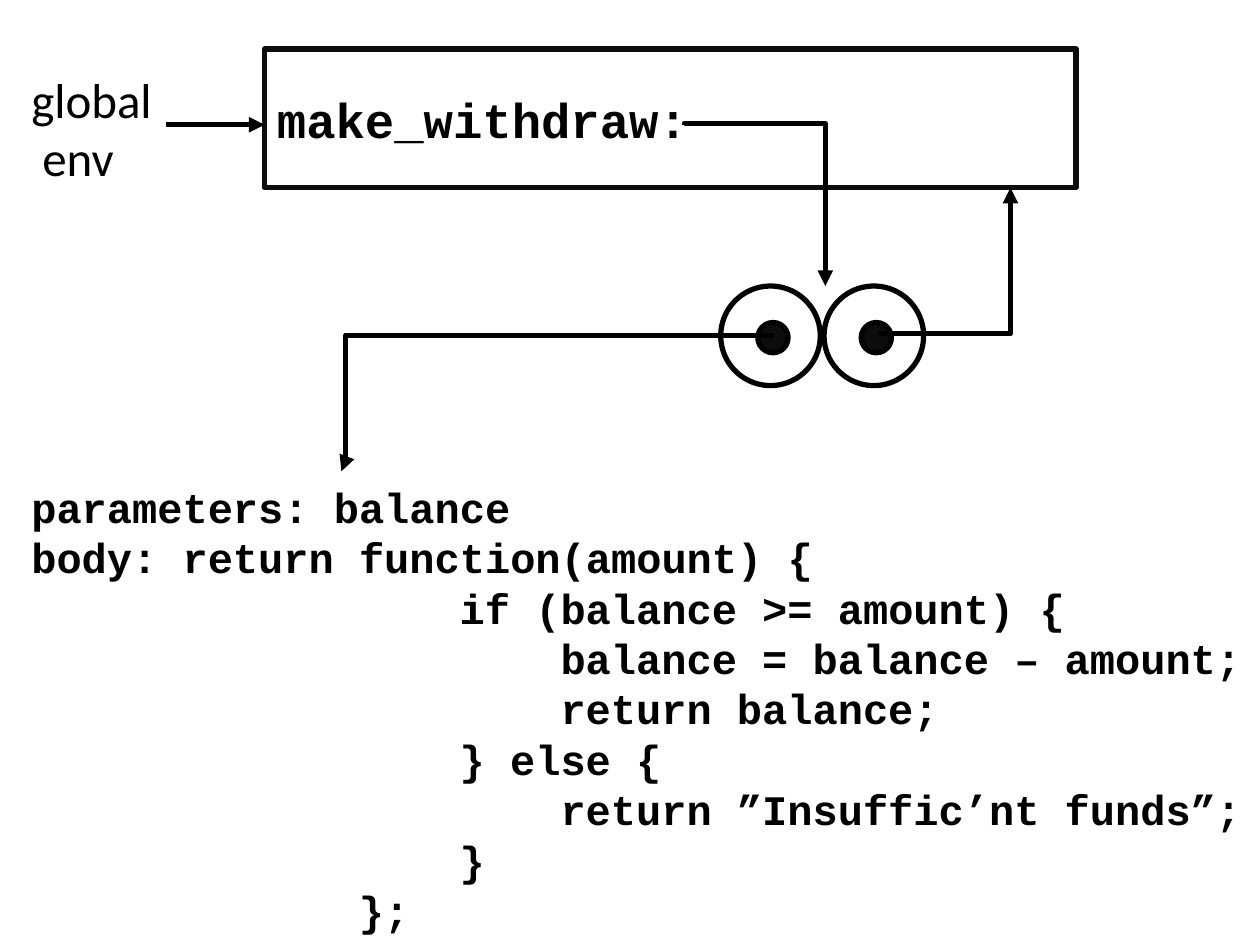
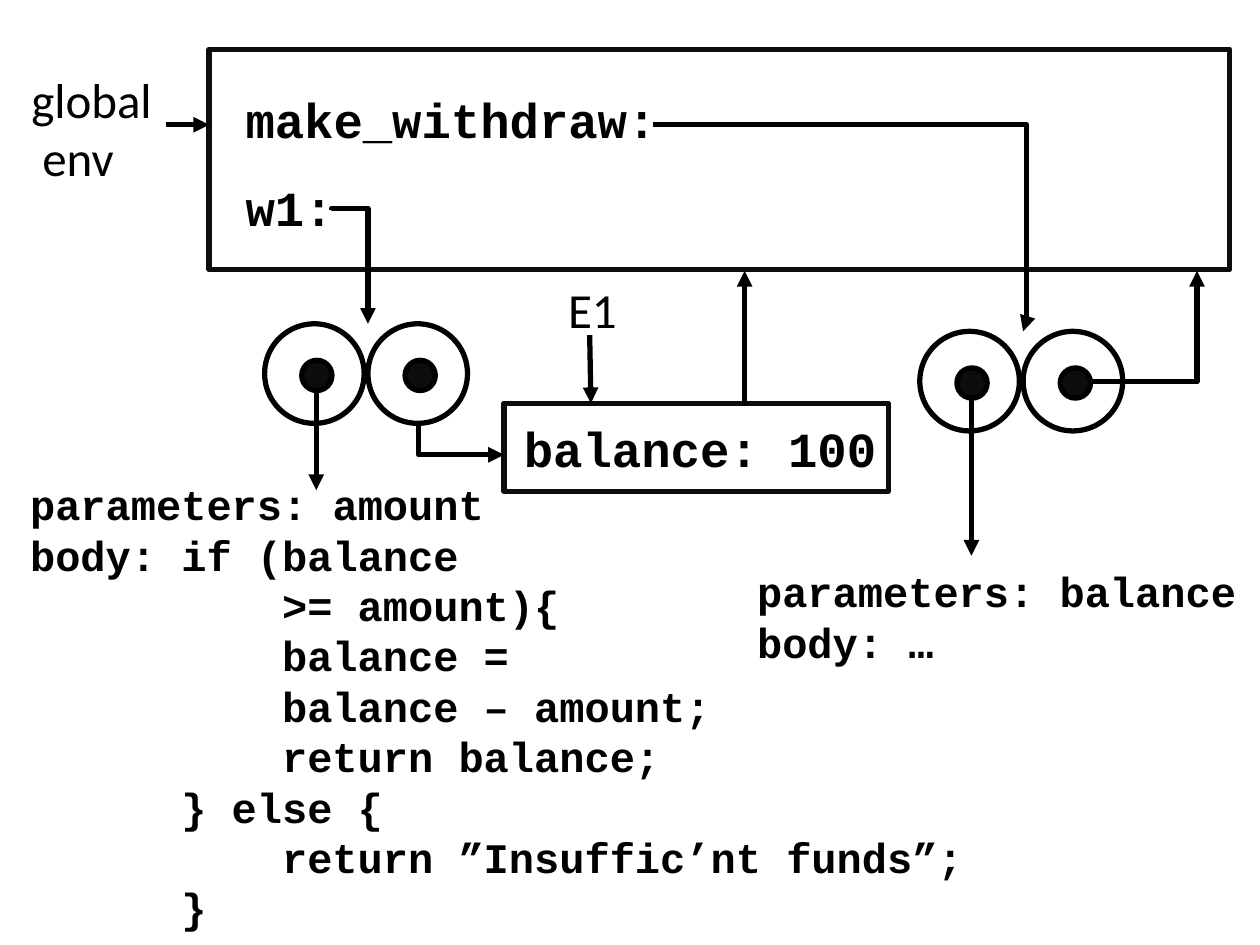
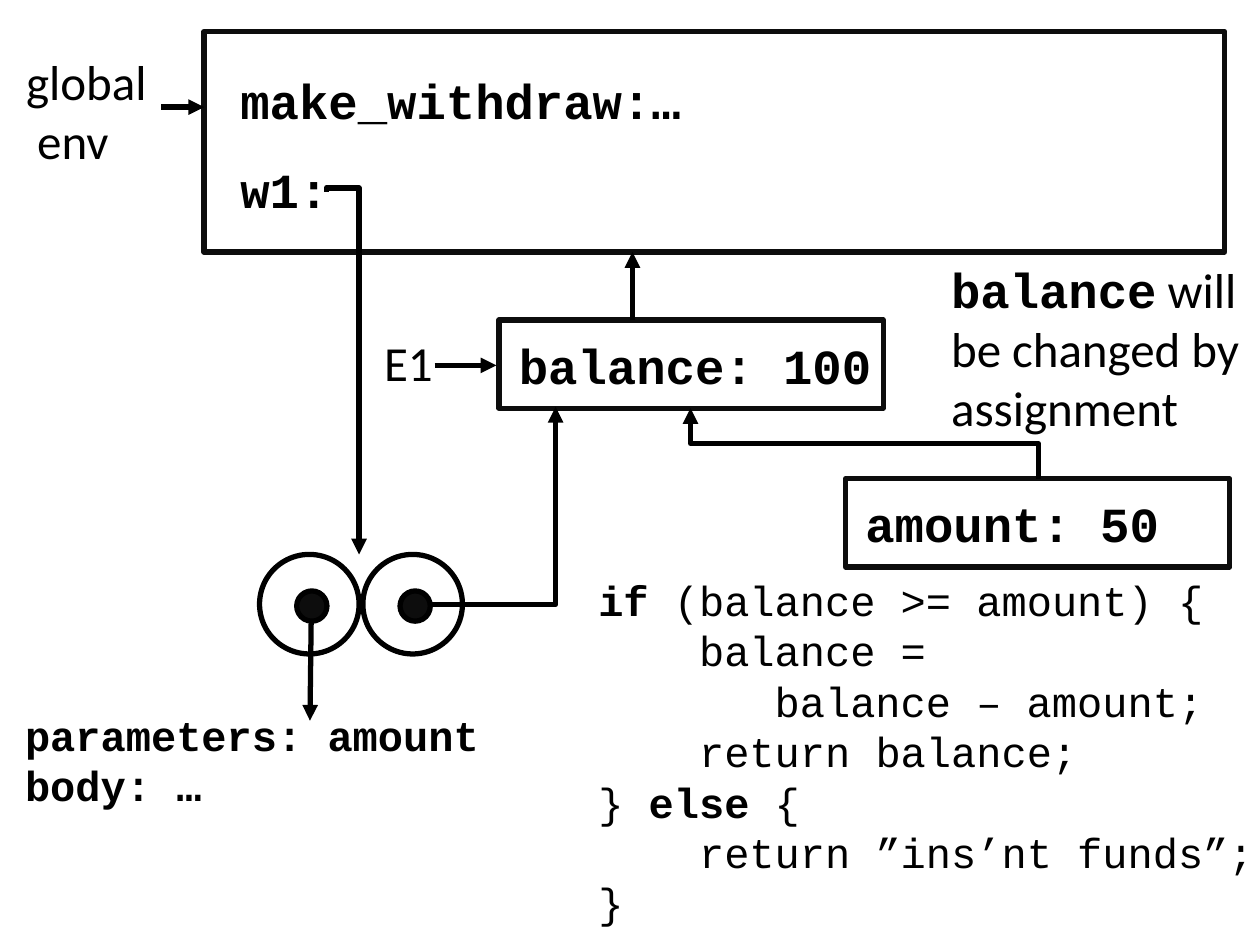
import pptx
import pptx.dml.color
import pptx.enum.shapes
import pptx.enum.text
import pptx.oxml
import pptx.oxml.ns
import pptx.util

COLUMNS, ROWS = 100, 75
SHAPES = pptx.enum.shapes.MSO_SHAPE
CONNECTORS = pptx.enum.shapes.MSO_CONNECTOR
INK, OUTLINE = "000000", "0D0D0D"
LABEL = ("Calibri", False)
CODE = ("Courier New", False)
CODE_BOLD = ("Courier New", True)


def color(value):
    """Turn a hex string into a colour."""
    return pptx.dml.color.RGBColor.from_string(value)


def make_element(parent, tag, **attributes):
    """Append a drawing element with attributes to its parent."""
    element = pptx.oxml.parse_xml(f"<{tag} {pptx.oxml.ns.nsdecls('a')}/>")
    for name, value in attributes.items():
        element.set(name, str(value))
    parent.append(element)
    return element


class EnvironmentDiagram:
    """Draws frames, procedures and code on a grid of columns and rows."""

    stroke = pptx.util.Pt(3)
    frame_size, code_size = 28, 24
    leading = 1.2
    top_inset, binding_inset = 0.8, 2.8

    def __init__(self):
        """Open an empty deck."""
        self.deck = pptx.Presentation()
        self.deck.slide_width = pptx.util.Inches(10)
        self.deck.slide_height = pptx.util.Inches(7.5)
        self.page = None

    def new_page(self):
        """Start a blank page."""
        self.page = self.deck.slides.add_slide(self.deck.slide_layouts[6])

    def across(self, columns):
        """Length of a number of columns."""
        return round(self.deck.slide_width * columns / COLUMNS)

    def down(self, rows):
        """Length of a number of rows."""
        return round(self.deck.slide_height * rows / ROWS)

    def place(self, left, top, width, height):
        """Grid rectangle as slide lengths."""
        return (self.across(left), self.down(top),
                self.across(width), self.down(height))

    def shape(self, kind, at, line=INK, fill=None):
        """Outlined shape, filled on request."""
        shape = self.page.shapes.add_shape(kind, *self.place(*at))
        shape.shadow.inherit = False
        shape.line.width = self.stroke
        shape.line.color.rgb = color(line)
        if fill:
            shape.fill.solid()
            shape.fill.fore_color.rgb = color(fill)
        else:
            shape.fill.background()

    def text(self, at, lines, size, plain, strong=CODE_BOLD, wrap=True,
             inset=top_inset, gap=0):
        """Text of (indent, words) lines; words between ** take the strong style."""
        box = self.page.shapes.add_textbox(*self.place(*at))
        frame = box.text_frame
        frame.word_wrap = wrap
        frame.auto_size = pptx.enum.text.MSO_AUTO_SIZE.SHAPE_TO_FIT_TEXT
        frame.margin_top = self.down(inset)
        for number, (indent, words) in enumerate(lines):
            para = frame.add_paragraph() if number else frame.paragraphs[0]
            para.line_spacing = pptx.util.Pt(self.leading * size)
            if number and gap:
                para.space_before = pptx.util.Pt(gap)
            if indent:
                margin = pptx.util.Pt(0.6 * size * indent)
                properties = para._p.get_or_add_pPr()
                properties.set("marL", str(margin))
                properties.set("indent", "0")
            for position, piece in enumerate(words.split("**")):
                if not piece:
                    continue
                span = para.add_run()
                span.text = piece
                span.font.name, span.font.bold = strong if position % 2 else plain
                span.font.size = pptx.util.Pt(size)
                span.font.color.rgb = color(INK)

    def label(self, at, *words):
        """Plain label that does not wrap."""
        self.text(at, [(0, word) for word in words], self.frame_size, LABEL, wrap=False)

    def code(self, at, lines, plain=CODE_BOLD):
        """Block of program text."""
        self.text(at, lines, self.code_size, plain)

    def frame(self, at):
        """Outline of an environment frame."""
        self.shape(SHAPES.RECTANGLE, at, OUTLINE)

    def global_frame(self, at, bindings_at, *bindings):
        """Global frame with its bindings, label and pointer."""
        self.frame(at)
        self.text(bindings_at, [(0, name) for name in bindings], self.frame_size,
                  CODE_BOLD, inset=self.binding_inset, gap=17)
        left, top = at[:2]
        label_left = bindings_at[0] - 17 if len(bindings) > 1 else 1.5
        self.label((label_left, top + 0.8, 11.7, 10.4), "global", " env")
        self.arrow((label_left + 11.7, top + 6), (left, top + 6))

    def local_frame(self, left, top, binding):
        """Small frame with one binding."""
        self.frame((left, top, 30.5, 7))
        self.text((left + 0.6, top + 0.4, 30.5, 5.7), [(0, binding)],
                  self.frame_size, CODE_BOLD)

    def procedure(self, left, top):
        """Pair of circles with dots."""
        for start in (left, left + 8.2):
            self.shape(SHAPES.OVAL, (start, top, 7.9, 7.9))
            self.shape(SHAPES.OVAL, (start + 2.95, top + 2.9, 2.4, 2.4), INK, OUTLINE)

    def arrow(self, start, end, kind=CONNECTORS.STRAIGHT):
        """Connector with a triangle at its end."""
        connector = self.page.shapes.add_connector(
            kind, *self.place(*start, *end))
        connector.line.width = self.stroke
        connector.line.color.rgb = color(INK)
        make_element(connector.line._get_or_add_ln(), "a:tailEnd", type="triangle")
        make_element(connector.element.spPr, "a:effectLst")
        return connector

    def elbow(self, start, end, bend=None, upright=False):
        """Bent arrow: one corner, or two at the share bend; upright starts vertically."""
        connector = self.arrow(start, end, CONNECTORS.ELBOW)
        properties = connector.element.spPr
        geometry = properties.find(pptx.oxml.ns.qn("a:prstGeom"))
        if bend is None:
            geometry.set("prst", "bentConnector2")
        else:
            guides = geometry.find(pptx.oxml.ns.qn("a:avLst"))
            if guides is None:
                guides = make_element(geometry, "a:avLst")
            make_element(guides, "a:gd", name="adj1", fmla=f"val {round(bend * 100000)}")
        if upright:
            self.turn(connector, end[0] > start[0], end[1] > start[1])

    def turn(self, connector, rightward, downward):
        """Turn a connector by a quarter so that it leaves vertically."""
        left, top = connector.left, connector.top
        width, height = connector.width, connector.height
        connector.left = left + (width - height) // 2
        connector.top = top + (height - width) // 2
        connector.width, connector.height = height, width
        quarter = 90 if downward and not rightward else 270
        transform = connector.element.spPr.find(pptx.oxml.ns.qn("a:xfrm"))
        transform.set("rot", str(quarter * 60000))
        transform.set("flipH", str(int(rightward and downward)))
        transform.set("flipV", str(int(not rightward and not downward)))


def draw_definition(diagram):
    """Page with make_withdraw defined."""
    diagram.new_page()
    diagram.global_frame((21, 3.9, 64.4, 11), (21, 4.3, 40.7, 7.7), "make_withdraw:")
    diagram.code((1.5, 37.4, 98.5, 37.4), [
        (0, "parameters: balance"),
        (0, "body: return function(amount) {"),
        (17, "if (balance >= amount) {"),
        (21, "balance = balance – amount;"),
        (21, "return balance;"),
        (17, "} else {"),
        (21, "return ”Insuffic’nt funds”;"),
        (17, "}"),
        (13, "};"),
    ])
    diagram.procedure(57.2, 22.7)
    diagram.elbow((54.3, 9.9), (65.5, 22.7), bend=-0.01, upright=True)
    diagram.elbow((69.9, 26.6), (80.2, 14.9), bend=0.01, upright=True)
    diagram.elbow((61.4, 26.6), (27.1, 37.4), bend=0.99)


def draw_withdrawal_object(diagram):
    """Page with w1 bound to a new procedure."""
    diagram.new_page()
    diagram.global_frame((16.6, 3.9, 81, 17.5), (18.5, 4.3, 43.8, 14.8),
                         "make_withdraw:", "w1:")
    diagram.code((59.1, 44.1, 40.9, 9.1), [(0, "parameters: balance"), (0, "body: …")])
    diagram.procedure(73, 26.3)
    diagram.elbow((51.8, 9.9), (81.2, 26.3), bend=1.01)
    diagram.arrow((77.1, 31.5), (77.1, 44.1))
    diagram.elbow((86.5, 30.3), (95, 21.5))
    diagram.procedure(21, 25.7)
    diagram.elbow((26.3, 16.7), (29.2, 25.7), bend=-0.02, upright=True)
    diagram.code((1.4, 37.2, 79.8, 37.4), [
        (0, "parameters: amount"),
        (0, "body: if (balance"),
        (10, ">= amount){"),
        (10, "balance ="),
        (10, "balance – amount;"),
        (10, "return balance;"),
        (6, "} else {"),
        (10, "return ”Insuffic’nt funds”;"),
        (6, "}"),
    ])
    diagram.local_frame(40, 32, "balance: 100")
    diagram.arrow((25.1, 30.9), (25.1, 38.9))
    diagram.elbow((33.2, 33.5), (40, 36.1), upright=True)
    diagram.label((44.1, 21.4, 5.9, 5.7), "E1")
    diagram.arrow((46.8, 26.6), (46.9, 32))
    diagram.arrow((59.1, 32.2), (59.1, 21.5))


def draw_call(diagram):
    """Page with w1 applied to an amount."""
    diagram.new_page()
    diagram.global_frame((16.2, 2.5, 81, 17.5), (18.1, 2.8, 43.8, 14.8),
                         "make_withdraw:…", "w1:")
    diagram.procedure(20.6, 44)
    diagram.elbow((25.9, 15.2), (28.5, 44), bend=-0.01, upright=True)
    diagram.code((1, 55.5, 40.9, 9.1), [(0, "parameters: amount"), (0, "body: …")])
    diagram.local_frame(39.6, 25.4, "balance: 100")
    diagram.arrow((24.7, 49.2), (24.6, 57.2))
    diagram.elbow((34.1, 48), (44.1, 32.3))
    diagram.label((29.5, 25.6, 5.9, 5.7), "E1")
    diagram.arrow((34.5, 29), (39.4, 29))
    diagram.local_frame(67.1, 38, "amount: 50")
    diagram.elbow((82.4, 38), (54.8, 32.4), bend=0.5, upright=True)
    diagram.text((74.5, 19.8, 29.1, 15.1),
                 [(0, "**balance** will be changed by"), (0, "assignment")],
                 diagram.frame_size, LABEL)
    diagram.code((46.5, 44.8, 54.7, 29.3), [
        (0, "**if** (balance >= amount) {"),
        (4, "balance ="),
        (7, "balance – amount;"),
        (4, "return balance;"),
        (0, "} **else** {"),
        (4, "return ”ins’nt funds”;"),
        (0, "}"),
    ], CODE)
    diagram.arrow((50.2, 25.4), (50.2, 20))


def main():
    """Build the three pages and save them."""
    diagram = EnvironmentDiagram()
    draw_definition(diagram)
    draw_withdrawal_object(diagram)
    draw_call(diagram)
    diagram.deck.save("out.pptx")


main()
